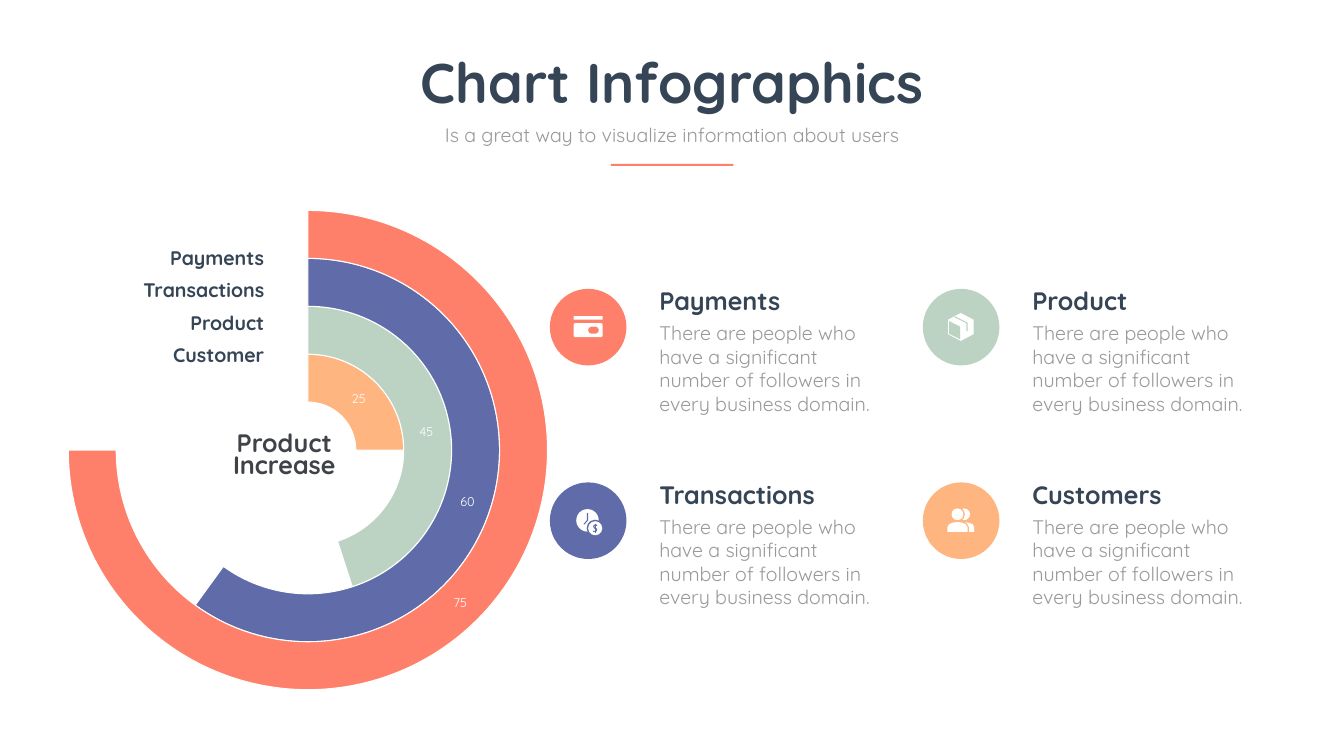
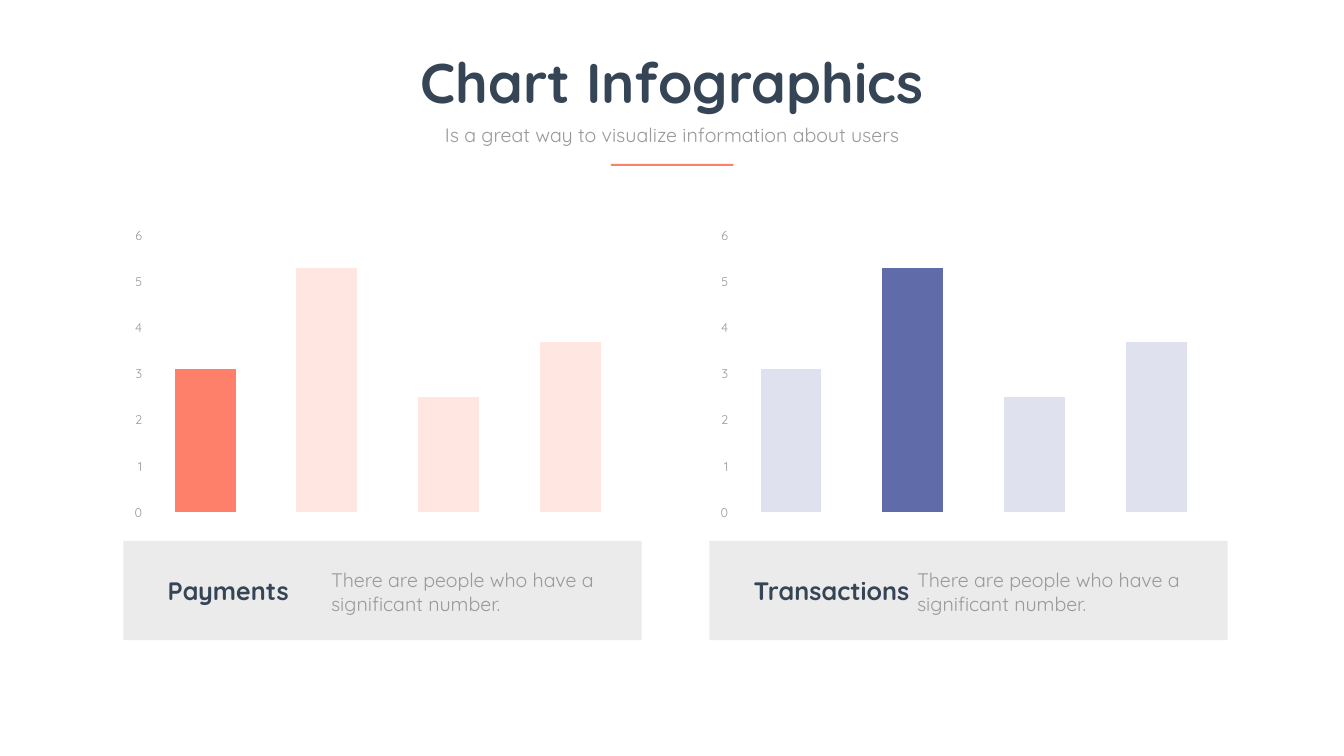
import pptx
import pptx.chart.data
import pptx.dml.color
import pptx.enum.chart
import pptx.enum.shapes
import pptx.enum.text
import pptx.oxml
import pptx.oxml.ns
import pptx.util

SLIDE_WIDTH, SLIDE_HEIGHT = pptx.util.Inches(26.67), pptx.util.Inches(15)
CELL = SLIDE_WIDTH / 80  # the grid has 80 columns and 45 rows of square cells
FONT = "Quicksand"
CORAL, INDIGO, SAGE, APRICOT = "FF806A", "5F6CA9", "BCD3C3", "FEB57F"
PALE_CORAL, PALE_INDIGO = "FFE6E1", "DFE2EE"
NAVY, CHARCOAL, GREY, PANEL, WHITE = "364556", "3F4347", "999999", "EBEBEB", "FFFFFF"

ALIGN = pptx.enum.text.PP_ALIGN
CHART = pptx.enum.chart.XL_CHART_TYPE
PRESET = pptx.enum.shapes.MSO_SHAPE

FOLLOWERS = ("There are people who have a significant number of followers "
             "in every business domain.")
SHORT_NOTE = "There are people who have a significant number."


def rgb(hex_color):
    return pptx.dml.color.RGBColor.from_string(hex_color)


def cells(*lengths):
    return [round(length * CELL) for length in lengths]


def paint(shape, color):
    shape.shadow.inherit = False
    shape.fill.solid()
    shape.fill.fore_color.rgb = rgb(color)
    shape.line.fill.background()


def style_font(font, size, color, bold=False):
    font.name = FONT
    font.size = pptx.util.Pt(size)
    font.bold = bold
    font.color.rgb = rgb(color)


def add_block(slide, box, color, preset=PRESET.RECTANGLE):
    block = slide.shapes.add_shape(preset, *cells(*box))
    paint(block, color)
    return block


def add_text(slide, box, words, size=28, color=GREY, bold=False, align=ALIGN.LEFT):
    frame = slide.shapes.add_textbox(*cells(*box)).text_frame
    frame.word_wrap = True
    frame.auto_size = pptx.enum.text.MSO_AUTO_SIZE.SHAPE_TO_FIT_TEXT
    frame.text = words
    frame.paragraphs[0].alignment = align
    style_font(frame.paragraphs[0].runs[0].font, size, color, bold)
    return frame


def add_heading(slide, box, words):
    add_text(slide, box, words, 36, NAVY, True)


def add_title(slide):
    add_text(slide, (20.64, 2.7, 38.73, 4.35), "Chart Infographics",
             80, NAVY, True, ALIGN.CENTER)
    add_text(slide, (25.65, 7.14, 28.7, 1.71),
             "Is a great way to visualize information about users", align=ALIGN.CENTER)
    add_block(slide, (36.36, 9.75, 7.29, 0.12), CORAL)


class Icon:
    """Draws parts at cell offsets from the middle of a badge."""

    def __init__(self, slide, middle):
        self.slide = slide
        self.x, self.y = middle

    def preset(self, preset, left, top, width, height, color=WHITE):
        return add_block(self.slide, (self.x + left, self.y + top, width, height),
                         color, preset)

    def disc(self, x, y, radius, color=WHITE):
        self.preset(PRESET.OVAL, x - radius, y - radius, 2 * radius, 2 * radius, color)

    def outline(self, points, closed):
        corners = [cells(self.x + x, self.y + y) for x, y in points]
        builder = self.slide.shapes.build_freeform(*corners[0])
        builder.add_line_segments(corners[1:], close=closed)
        return builder.convert_to_shape()

    def polygon(self, points, color=WHITE):
        paint(self.outline(points, True), color)

    def stroke(self, points, color):
        line = self.outline(points, False)
        line.shadow.inherit = False
        line.fill.background()
        line.line.color.rgb = rgb(color)
        line.line.width = pptx.util.Pt(1.5)


def draw_card(icon, badge_color):
    icon.preset(PRESET.ROUND_2_SAME_RECTANGLE, -0.86, -0.66, 1.72, 0.22)
    icon.preset(PRESET.ROUNDED_RECTANGLE, -0.86, -0.24, 1.72, 0.84).adjustments[0] = 0.12
    icon.preset(PRESET.ROUNDED_RECTANGLE, 0, -0.03, 0.63, 0.42,
                badge_color).adjustments[0] = 0.5


def draw_clock(icon, badge_color):
    icon.disc(-0.04, -0.02, 0.67)
    icon.stroke([(-0.25, 0.21), (-0.04, -0.02), (-0.04, -0.45)], badge_color)
    icon.disc(0.42, 0.45, 0.51, badge_color)
    icon.disc(0.42, 0.45, 0.42)
    icon.stroke([(0.54, 0.27), (0.36, 0.27), (0.33, 0.36), (0.39, 0.45),
                 (0.48, 0.48), (0.51, 0.57), (0.45, 0.63), (0.3, 0.63)], badge_color)
    icon.stroke([(0.42, 0.17), (0.42, 0.72)], badge_color)


def draw_box(icon, badge_color):
    icon.polygon([(-0.02, -0.84), (0.74, -0.44), (0.74, 0.42),
                  (-0.02, 0.82), (-0.78, 0.42), (-0.78, -0.44)])
    icon.polygon([(-0.72, -0.36), (-0.06, -0.03), (-0.06, 0.72), (-0.72, 0.39)],
                 badge_color)
    icon.stroke([(-0.39, -0.62), (0.35, -0.25), (0.35, 0.24)], badge_color)


def draw_people(icon, badge_color):
    icon.disc(0.18, -0.38, 0.35)
    icon.disc(-0.22, -0.38, 0.44, badge_color)
    icon.disc(-0.22, -0.38, 0.35)
    icon.polygon([(0.24, 0.09), (0.48, 0.13), (0.69, 0.21), (0.78, 0.39),
                  (0.78, 0.66), (0.48, 0.66), (0.48, 0.39), (0.33, 0.15)])
    icon.polygon([(-0.81, 0.66), (-0.81, 0.39), (-0.72, 0.21), (-0.48, 0.11),
                  (-0.22, 0.08), (0.04, 0.11), (0.27, 0.21), (0.39, 0.39), (0.39, 0.66)])


def add_topic(slide, column, row, name, color, draw_icon):
    left, top, size = 32.73 + 22.2 * column, 17.19 + 11.52 * row, 4.56
    add_block(slide, (left, top, size, size), color, PRESET.OVAL)
    draw_icon(Icon(slide, (left + size / 2, top + size / 2)), color)
    add_text(slide, (left + 6.22, top + 1.77, 14.34, 5.97), FOLLOWERS)
    add_heading(slide, (left + 6.22, top - 0.36, 14.34, 2.13), name)


def set_plot_area(chart, x, y, w, h):
    """Fix the inner plot area as shares of the chart's size."""
    plot_area = chart._chartSpace.chart.plotArea
    for layout in plot_area.findall(pptx.oxml.ns.qn("c:layout")):
        plot_area.remove(layout)
    shares = "".join(f'<c:{key} val="{share}"/>'
                     for key, share in (("x", x), ("y", y), ("w", w), ("h", h)))
    plot_area.insert(0, pptx.oxml.parse_xml(
        f'<c:layout {pptx.oxml.ns.nsdecls("c")}><c:manualLayout>'
        '<c:layoutTarget val="inner"/><c:xMode val="edge"/><c:yMode val="edge"/>'
        f'{shares}</c:manualLayout></c:layout>'))


def add_plain_chart(slide, kind, box, categories, series, color):
    data = pptx.chart.data.CategoryChartData()
    data.categories = categories
    for number, values in enumerate(series, 1):
        data.add_series(f"Series {number}", values)
    chart = slide.shapes.add_chart(kind, *cells(*box), data).chart
    chart.has_legend = False
    chart.has_title = False
    style_font(chart.font, 18, color)
    return chart


def add_rings(slide, box, rings):
    """Draw one ring a share, from the inside out, with the rest left open."""
    chart = add_plain_chart(slide, CHART.DOUGHNUT, box, ["1", "2"],
                            [(share, 100 - share) for share, _ in rings], WHITE)
    set_plot_area(chart, 0.08, 0.02, 0.84, 0.97)
    chart.plots[0]._element.find(pptx.oxml.ns.qn("c:holeSize")).set("val", "35")
    for series, (_, color) in zip(chart.plots[0].series, rings):
        arc, rest = series.points[0].format, series.points[1].format
        arc.fill.solid()
        arc.fill.fore_color.rgb = rgb(color)
        arc.line.color.rgb = rgb(WHITE)
        arc.line.width = pptx.util.Pt(1.5)
        rest.fill.background()
        rest.line.fill.background()
        labels = series.data_labels
        labels.show_value = True
        style_font(labels.font, 18, WHITE)
        labels._element.insert(0, pptx.oxml.parse_xml(
            f'<c:dLbl {pptx.oxml.ns.nsdecls("c")}><c:idx val="1"/>'
            '<c:delete val="1"/></c:dLbl>'))


def add_bars(slide, box, values, highlight, color, pale):
    chart = add_plain_chart(slide, CHART.COLUMN_STACKED, box, ["1", "2", "3", "4"],
                            [values], GREY)
    set_plot_area(chart, 0.04, 0.05, 0.94, 0.91)
    chart.category_axis.visible = False
    axis = chart.value_axis
    axis.minimum_scale, axis.maximum_scale, axis.major_unit = 0, 6, 1
    axis.has_major_gridlines = False
    axis.major_tick_mark = pptx.enum.chart.XL_TICK_MARK.NONE
    axis.format.line.fill.background()
    style_font(axis.tick_labels.font, 18, GREY)
    plot = chart.plots[0]
    plot.gap_width, plot.overlap = 100, 100
    plot.vary_by_categories = False
    for index in range(len(values)):
        fill = plot.series[0].points[index].format.fill
        fill.solid()
        fill.fore_color.rgb = rgb(color if index == highlight else pale)


def add_bar_panel(slide, column, name, color, pale):
    left = 7.35 + 34.88 * column
    add_bars(slide, (left, 13.11, 30.84, 18.12), (3.1, 5.3, 2.5, 3.7),
             column, color, pale)
    add_block(slide, (left, 32.19, 30.84, 5.91), PANEL)
    add_heading(slide, (left + 2.34, 34.11, 10.17, 2.13), name)
    add_text(slide, (left + 12.06, 33.66, 16.95, 3.12), SHORT_NOTE)


def build_ring_slide(slide):
    add_rings(slide, (1.35, 11.88, 33.96, 29.52),
              [(25, APRICOT), (45, SAGE), (60, INDIGO), (75, CORAL)])
    for row, name in enumerate(["Payments", "Transactions", "Product", "Customer"]):
        add_text(slide, (6.6, 14.49 + 1.93 * row, 9.42, 1.71), name,
                 28, NAVY, True, ALIGN.RIGHT)
    add_topic(slide, 0, 0, "Payments", CORAL, draw_card)
    add_topic(slide, 0, 1, "Transactions", INDIGO, draw_clock)
    add_topic(slide, 1, 0, "Product", SAGE, draw_box)
    add_topic(slide, 1, 1, "Customers", APRICOT, draw_people)
    center = add_text(slide, (12.51, 25.77, 8.82, 2.88), "Product Increase",
                      36, CHARCOAL, True, ALIGN.CENTER)
    center.vertical_anchor = pptx.enum.text.MSO_ANCHOR.MIDDLE
    center.margin_left = center.margin_right = pptx.util.Inches(0.06)
    center.margin_top = center.margin_bottom = pptx.util.Inches(0.06)
    center.paragraphs[0].line_spacing = 0.7


def build_bar_slide(slide):
    add_bar_panel(slide, 0, "Payments", CORAL, PALE_CORAL)
    add_bar_panel(slide, 1, "Transactions", INDIGO, PALE_INDIGO)


def main():
    deck = pptx.Presentation()
    deck.slide_width, deck.slide_height = SLIDE_WIDTH, SLIDE_HEIGHT
    for build in (build_ring_slide, build_bar_slide):
        slide = deck.slides.add_slide(deck.slide_layouts[6])
        build(slide)
        add_title(slide)
    deck.save("out.pptx")


if __name__ == "__main__":
    main()
